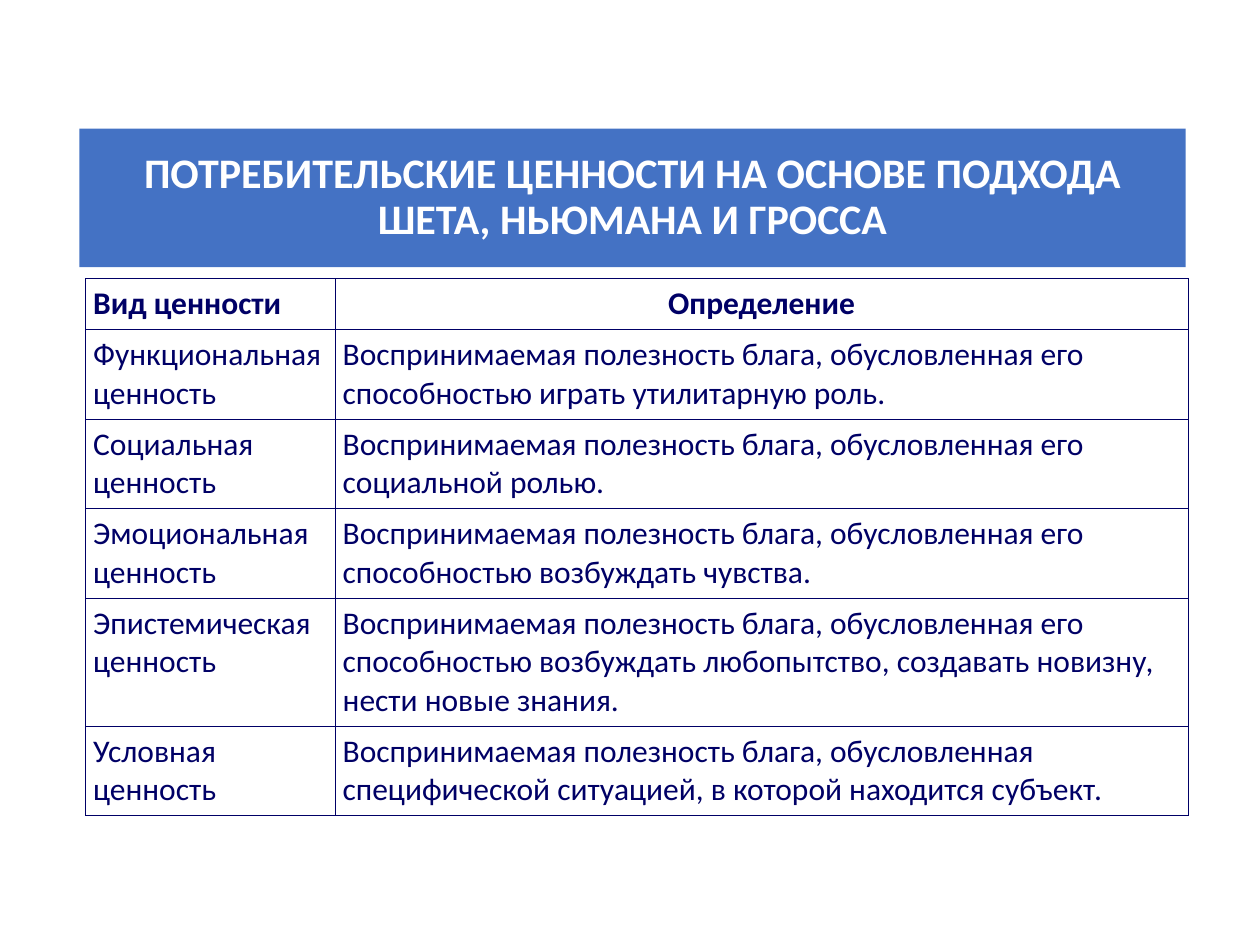
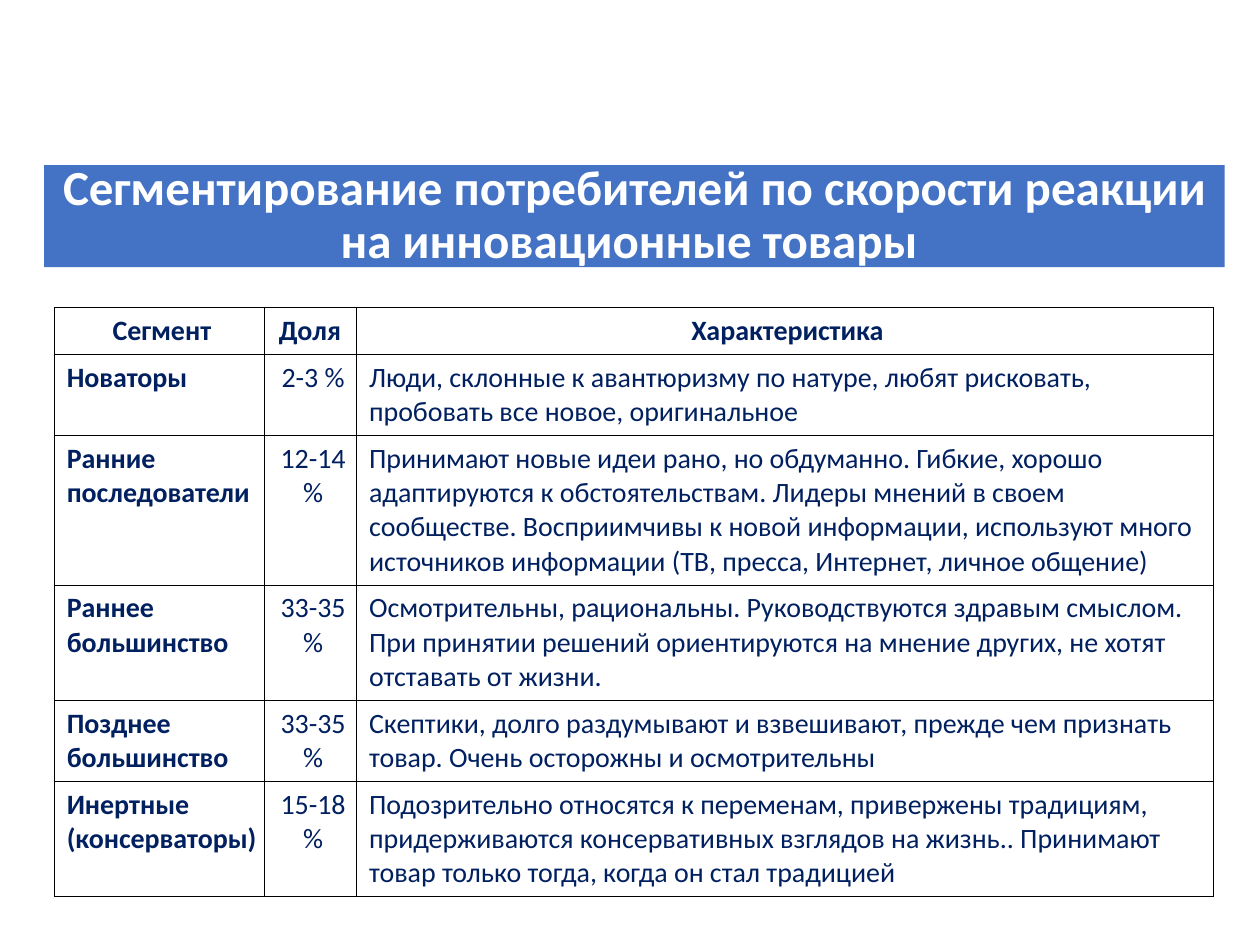
from dataclasses import dataclass

import pptx
import pptx.dml.color
import pptx.enum.text
import pptx.oxml
import pptx.oxml.ns
import pptx.presentation
import pptx.slide
import pptx.table
import pptx.util
from pptx.util import Inches

FONT = "Calibri"
COLORS = {
    "band": "4472C4",
    "band_text": "FFFFFF",
    "values_text": "000066",
    "segments_text": "002060",
    "black": "000000",
}
BORDER_PT = 0.45
MARGIN_X, MARGIN_Y = 0.06, 0.05
ALIGN = {
    "l": pptx.enum.text.PP_ALIGN.LEFT,
    "c": pptx.enum.text.PP_ALIGN.CENTER,
}


@dataclass(frozen=True)
class Band:
    text: str
    box: tuple[float, float, float, float]
    size: int


@dataclass(frozen=True)
class Grid:
    left: float
    top: float
    cols: tuple[float, ...]
    heights: tuple[float, ...]
    rows: tuple[tuple[str, ...], ...]
    size: int
    color: str
    border: str
    head_align: str  # one letter per column
    body_align: str
    bold_first: bool = False
    indent: float = 0


def rgb(name: str) -> pptx.dml.color.RGBColor:
    return pptx.dml.color.RGBColor.from_string(COLORS[name])


def add_run(p, text: str, size: int, color: str, bold: bool) -> None:
    r = p.add_run()
    r.text = text
    r.font.name = FONT
    r.font.size = pptx.util.Pt(size)
    r.font.bold = bold
    r.font.color.rgb = rgb(color)


def draw_band(s: pptx.slide.Slide, band: Band) -> None:
    sp = s.shapes.title
    sp.left, sp.top, sp.width, sp.height = map(Inches, band.box)
    sp.fill.solid()
    sp.fill.fore_color.rgb = rgb("band")
    tf = sp.text_frame
    tf.word_wrap = True
    tf.auto_size = pptx.enum.text.MSO_AUTO_SIZE.NONE
    tf.vertical_anchor = pptx.enum.text.MSO_ANCHOR.MIDDLE
    p = tf.paragraphs[0]
    p.alignment = ALIGN["c"]
    p.line_spacing = 0.9
    add_run(p, band.text, band.size, "band_text", True)


def set_borders(cell: pptx.table._Cell, color: str) -> None:
    tc_pr = cell._tc.get_or_add_tcPr()
    for side in ("lnL", "lnR", "lnT", "lnB"):
        tc_pr.append(pptx.oxml.parse_xml(
            f'<a:{side} {pptx.oxml.ns.nsdecls("a")} w="{pptx.util.Pt(BORDER_PT)}">'
            f'<a:solidFill><a:srgbClr val="{COLORS[color]}"/></a:solidFill>'
            f'</a:{side}>'))


def draw_grid(s: pptx.slide.Slide, grid: Grid) -> None:
    frame = s.shapes.add_table(
        len(grid.rows), len(grid.cols), Inches(grid.left), Inches(grid.top),
        Inches(sum(grid.cols)), Inches(sum(grid.heights)))
    table = frame.table
    table.first_row = table.horz_banding = False
    for col, width in zip(table.columns, grid.cols):
        col.width = Inches(width)
    for row, height in zip(table.rows, grid.heights):
        row.height = Inches(height)
    for i, texts in enumerate(grid.rows):
        aligns = grid.body_align if i else grid.head_align
        for j, text in enumerate(texts):
            cell = table.cell(i, j)
            cell.margin_left = cell.margin_right = Inches(MARGIN_X)
            cell.margin_top = cell.margin_bottom = Inches(MARGIN_Y)
            set_borders(cell, grid.border)
            cell.fill.background()
            p = cell.text_frame.paragraphs[0]
            p.alignment = ALIGN[aligns[j]]
            if grid.indent:
                p._p.get_or_add_pPr().set("marL", str(Inches(grid.indent)))
            bold = i == 0 or (grid.bold_first and j == 0)
            add_run(p, text, grid.size, grid.color, bold)


# Consumer values
VALUES_BAND = Band(
    "ПОТРЕБИТЕЛЬСКИЕ ЦЕННОСТИ НА ОСНОВЕ ПОДХОДА ШЕТА, НЬЮМАНА И ГРОССА",
    (0.63, 1.02, 8.78, 1.1), 24)
VALUES_GRID = Grid(
    left=0.68, top=2.21, cols=(1.98, 6.77),
    heights=(0.3, 0.61, 0.61, 0.61, 0.9, 0.61),
    rows=(
        ("Вид ценности", "Определение"),
        ("Функциональная ценность",
         "Воспринимаемая полезность блага, обусловленная его "
         "способностью играть утилитарную роль."),
        ("Социальная ценность",
         "Воспринимаемая полезность блага, обусловленная его "
         "социальной ролью."),
        ("Эмоциональная ценность",
         "Воспринимаемая полезность блага, обусловленная его "
         "способностью возбуждать чувства."),
        ("Эпистемическая ценность",
         "Воспринимаемая полезность блага, обусловленная его "
         "способностью возбуждать любопытство, создавать новизну, "
         "нести новые знания."),
        ("Условная ценность",
         "Воспринимаемая полезность блага, обусловленная "
         "специфической ситуацией, в которой находится субъект."),
    ),
    size=18, color="values_text", border="values_text",
    head_align="lc", body_align="ll")

# Segments by speed of reaction
SEGMENTS_BAND = Band(
    "Сегментирование потребителей по скорости реакции на инновационные товары ",
    (0.35, 1.31, 9.37, 0.81), 28)
SEGMENTS_GRID = Grid(
    left=0.43, top=2.44, cols=(1.67, 0.73, 6.8),
    heights=(0.33, 0.57, 1.07, 0.8, 0.64, 0.8),
    rows=(
        ("Сегмент", "Доля ", "Характеристика"),
        ("Новаторы", "2-3 %",
         "Люди, склонные к авантюризму по натуре, любят рисковать, "
         "пробовать все новое, оригинальное"),
        ("Ранние последователи", "12-14 %",
         "Принимают новые идеи рано, но обдуманно. Гибкие, хорошо "
         "адаптируются к обстоятельствам. Лидеры мнений в своем "
         "сообществе. Восприимчивы к новой информации, используют много "
         "источников информации (ТВ, пресса, Интернет, личное общение)"),
        ("Раннее большинство", "33-35 %",
         "Осмотрительны, рациональны. Руководствуются здравым смыслом. "
         "При принятии решений ориентируются на мнение других, не хотят "
         "отставать от жизни."),
        ("Позднее большинство", "33-35 %",
         "Скептики, долго раздумывают и взвешивают, прежде чем признать "
         "товар. Очень осторожны и осмотрительны"),
        ("Инертные (консерваторы)", "15-18 %",
         "Подозрительно относятся к переменам, привержены традициям, "
         "придерживаются консервативных взглядов на жизнь.. Принимают "
         "товар только тогда, когда он стал традицией"),
    ),
    size=16, color="segments_text", border="black",
    head_align="ccc", body_align="lcl", bold_first=True, indent=0.04)


def add_table_slide(prs: pptx.presentation.Presentation,
                    band: Band, grid: Grid) -> None:
    s = prs.slides.add_slide(prs.slide_layouts.get_by_name("Title Only"))
    draw_band(s, band)
    draw_grid(s, grid)


def main() -> None:
    prs = pptx.Presentation()
    prs.slide_width, prs.slide_height = Inches(10), Inches(7.5)
    add_table_slide(prs, VALUES_BAND, VALUES_GRID)
    add_table_slide(prs, SEGMENTS_BAND, SEGMENTS_GRID)
    prs.save("out.pptx")


if __name__ == "__main__":
    main()
